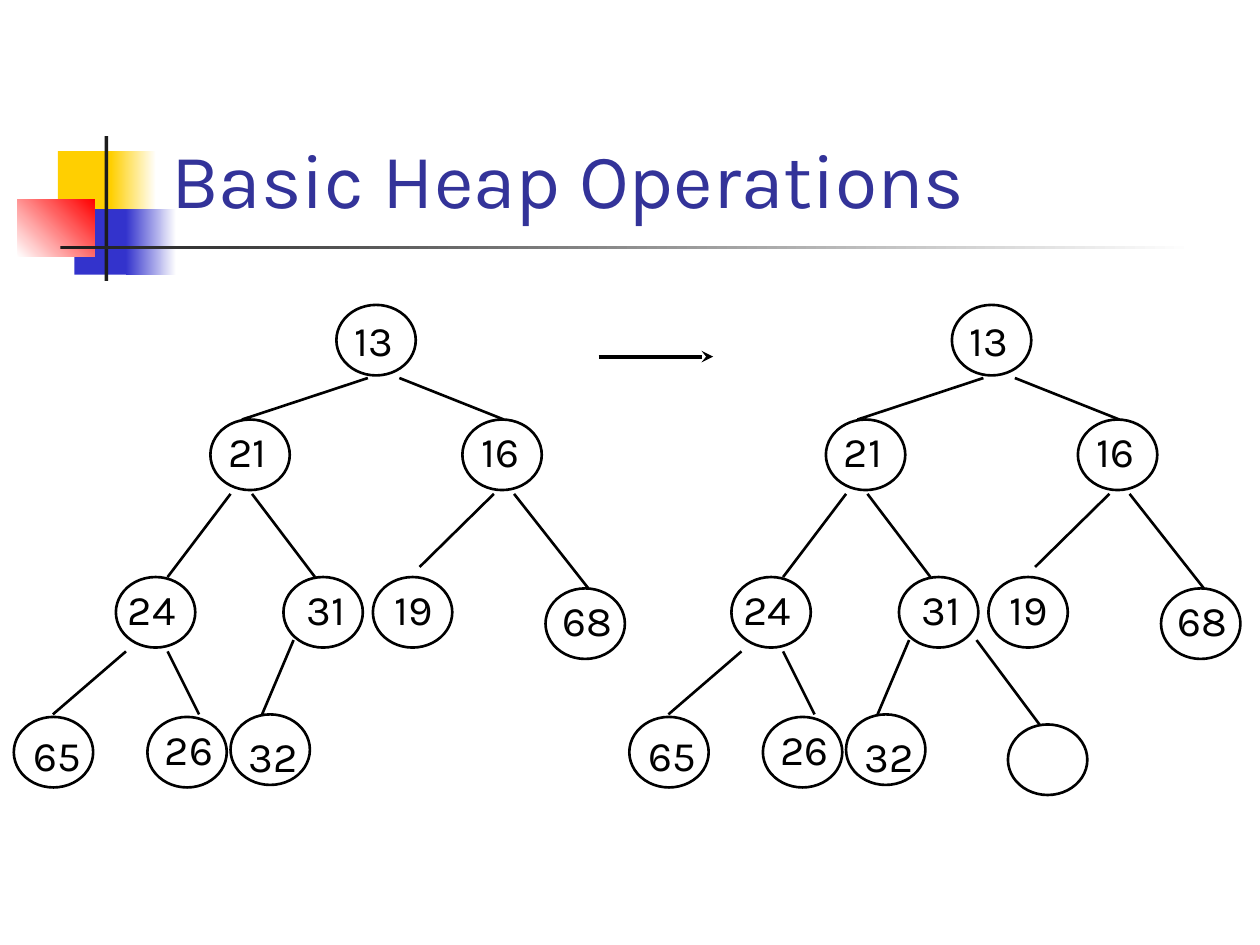
"""Build the heap insertion slide: a heap, an arrow, and the heap with a new hole."""
from lxml.etree import SubElement
from pptx import Presentation
from pptx.dml.color import RGBColor
from pptx.enum.shapes import MSO_CONNECTOR, MSO_SHAPE
from pptx.enum.text import MSO_ANCHOR, PP_ALIGN
from pptx.oxml.ns import qn
from pptx.util import Inches, Pt

FONT = "Karla"
BLACK = "000000"
TITLE = "Basic Heap Operations"
TITLE_BOX = (1.26, 0.23, 8.52, 1.6)
CIRCLE = (0.63, 0.56)
LABEL_HEIGHT = 0.5
HEAP_LEFTS = (0, 4.885)

# colours, box, gradient angle
DECORATION = [
    (("FFCF01",), (0.46, 1.2, 0.48, 0.52), 0),
    (("FFCF01", "FFFFFF"), (0.88, 1.2, 0.36, 0.52), 0),
    (("3333CC",), (0.59, 1.66, 0.46, 0.52), 0),
    (("3333CC", "FFFFFF"), (1, 1.66, 0.4, 0.52), 0),
    (("FFFFFF", "FF0000"), (0.14, 1.58, 0.61, 0.46), 45),
    (("1C1C1C",), (0.83, 1.08, 0.03, 1.15), 0),
    (("1C1C1C", "FFFFFF"), (0.48, 1.95, 9, 0.03), 0),
]
# key, circle left and top, label left, top and width
NODES = [
    ("13", (2.67, 2.42), (2.59, 2.45, 0.75)),
    ("21", (1.67, 3.33), (1.55, 3.33, 0.83)),
    ("16", (3.67, 3.33), (3.64, 3.33, 0.66)),
    ("24", (0.92, 4.58), (0.83, 4.58, 0.75)),
    ("31", (2.25, 4.58), (2.25, 4.58, 0.67)),
    ("19", (2.96, 4.58), (2.99, 4.58, 0.58)),
    ("68", (4.33, 4.67), (4.2, 4.67, 0.92)),
    ("65", (0.11, 5.69), (0.08, 5.74, 0.75)),
    ("26", (1.17, 5.69), (1.17, 5.69, 0.66)),
    ("32", (1.83, 5.67), (1.67, 5.75, 1)),
]
EDGES = [
    ((2.92, 3), (1.92, 3.33)), ((3.17, 3), (4, 3.33)),
    ((1.83, 3.92), (1.33, 4.58)), ((2, 3.92), (2.5, 4.58)),
    ((3.92, 3.92), (3.33, 4.5)), ((4.08, 3.92), (4.67, 4.67)),
    ((1, 5.17), (0.42, 5.67)), ((1.33, 5.17), (1.58, 5.67)),
    ((2.33, 5.08), (2.08, 5.67)),
]
HOLE = (8, 5.75)
HOLE_EDGE = ((7.75, 5.08), (8.25, 5.75))
ARROW = ((4.75, 2.83), (5.66, 2.83))


def color(value):
    return RGBColor.from_string(value)


def inches(values):
    return [Inches(value) for value in values]


def add_band(shapes, colors, box, angle):
    band = shapes.add_shape(MSO_SHAPE.RECTANGLE, *inches(box))
    band.shadow.inherit = False
    band.line.fill.background()
    if len(colors) == 1:
        band.fill.solid()
        band.fill.fore_color.rgb = color(colors[0])
        return
    band.fill.gradient()
    band.fill.gradient_angle = angle
    for stop, value, position in zip(band.fill.gradient_stops, colors, (0, 1)):
        stop.color.rgb = color(value)
        stop.position = position


def add_text(shapes, text, box, size, ink, align, anchor):
    frame = shapes.add_textbox(*inches(box)).text_frame
    frame.word_wrap = True
    frame.vertical_anchor = anchor
    paragraph = frame.paragraphs[0]
    paragraph.alignment = align
    run = paragraph.add_run()
    run.text = text
    for name, value in {"name": FONT, "size": Pt(size)}.items():
        setattr(run.font, name, value)
    run.font.color.rgb = color(ink)


def add_circle(shapes, corner):
    circle = shapes.add_shape(MSO_SHAPE.OVAL, *inches(corner + CIRCLE))
    circle.shadow.inherit = False
    circle.fill.background()
    circle.line.color.rgb = color(BLACK)
    circle.line.width = Pt(1.5)


def add_line(shapes, start, end, width=1.5, head=None):
    line = shapes.add_connector(MSO_CONNECTOR.STRAIGHT, *inches(start + end))
    line.line.color.rgb = color(BLACK)
    line.line.width = Pt(width)
    if head:
        SubElement(line.line._get_or_add_ln(), qn("a:tailEnd"), type=head)
    SubElement(line._element.spPr, qn("a:effectLst"))


def add_heap(shapes, left):
    for (x1, y1), (x2, y2) in EDGES:
        add_line(shapes, (left + x1, y1), (left + x2, y2))
    for key, (x, y), (label_x, label_y, width) in NODES:
        label = (left + label_x, label_y, width, LABEL_HEIGHT)
        add_text(shapes, key, label, 24, BLACK, PP_ALIGN.CENTER, MSO_ANCHOR.TOP)
        add_circle(shapes, (left + x, y))


def main():
    deck = Presentation()
    deck.slide_width, deck.slide_height = inches((10, 7.5))
    shapes = deck.slides.add_slide(deck.slide_layouts[6]).shapes
    for band in DECORATION:
        add_band(shapes, *band)
    add_text(shapes, TITLE, TITLE_BOX, 44, "333399", PP_ALIGN.LEFT, MSO_ANCHOR.BOTTOM)
    for left in HEAP_LEFTS:
        add_heap(shapes, left)
    add_line(shapes, *HOLE_EDGE)
    add_circle(shapes, HOLE)
    add_line(shapes, *ARROW, width=2.25, head="stealth")
    deck.save("out.pptx")


if __name__ == "__main__":
    main()
